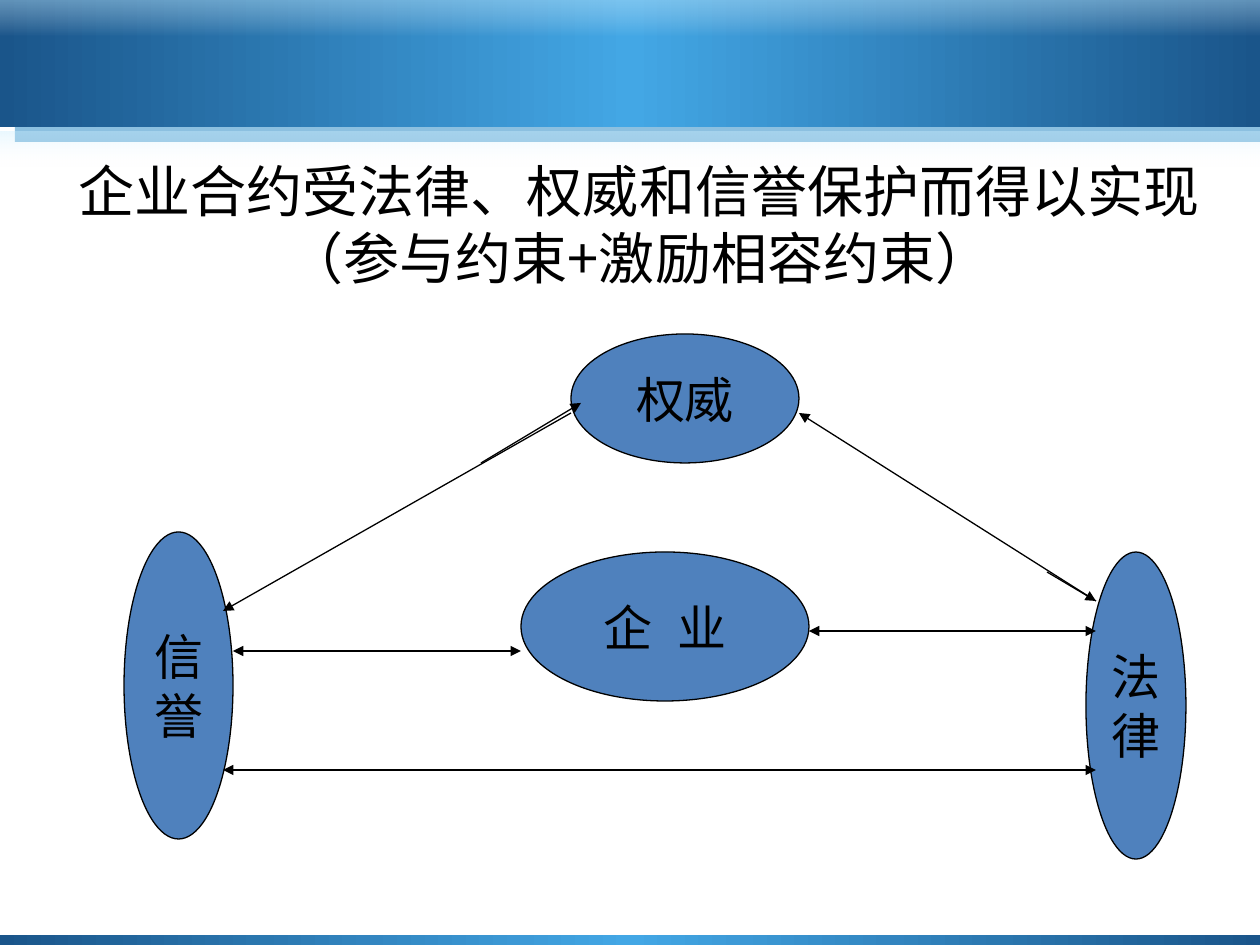
from dataclasses import dataclass

from lxml import etree
from pptx import Presentation
from pptx.dml.color import RGBColor
from pptx.enum.shapes import MSO_CONNECTOR, MSO_SHAPE
from pptx.enum.text import MSO_ANCHOR, MSO_AUTO_SIZE, PP_ALIGN
from pptx.oxml import parse_xml
from pptx.oxml.ns import nsdecls, qn
from pptx.util import Emu, Pt

OVAL = MSO_SHAPE.OVAL
BAND = MSO_SHAPE.ROUNDED_RECTANGLE
STRAIGHT = MSO_CONNECTOR.STRAIGHT
MIDDLE = MSO_ANCHOR.MIDDLE
CENTER = PP_ALIGN.CENTER
NO_AUTOFIT = MSO_AUTO_SIZE.NONE

EMU_PER_PX = 914400 / 126
TITLE_ONLY = 5
COLORS = {
    "black": "000000",
    "node": "4F81BD",
    "dark": "1A558A",
    "bright": "43A7E5",
    "shadow": "1B83C3",
    "pale": "CBEEFF",
    "white": "FFFFFF",
}


@dataclass(frozen=True)
class Band:
    top: int
    height: int
    stops: tuple  # (position %, colour name, opacity %)
    angle: int
    shadow: bool


@dataclass(frozen=True)
class Node:
    left: int
    top: int
    width: int
    height: int
    lines: tuple
    spacing: int = 0  # hundredths of a point between letters


@dataclass(frozen=True)
class Arrow:
    x1: int
    y1: int
    x2: int
    y2: int


BLUE_STOPS = ((0, "dark", 100), (50, "bright", 100), (100, "dark", 100))
GLOSS_STOPS = ((0, "pale", 41), (100, "white", 0))
BANDS = (
    Band(0, 127, BLUE_STOPS, 0, True),
    Band(1, 35, GLOSS_STOPS, 90, False),
    Band(132, 35, GLOSS_STOPS, 90, False),
    Band(935, 10, BLUE_STOPS, 0, True),
)
TITLE = "企业合约受法律、权威和信誉保护而得以实现（参与约束+激励相容约束）"
NODES = (
    Node(521, 552, 288, 149, ("企 业",), 400),
    Node(1086, 552, 100, 307, ("法", "律")),
    Node(124, 532, 109, 307, ("信", "誉")),
    Node(571, 334, 228, 129, ("权威",)),
)
ARROWS = (
    # Law and reputation, law and authority, the firm and its neighbours
    Arrow(263, 770, 1096, 770),
    Arrow(1096, 601, 799, 413),
    Arrow(243, 651, 521, 651),
    Arrow(828, 631, 1096, 631),
    # Short arrows that point back
    Arrow(272, 770, 223, 770),
    Arrow(313, 651, 233, 651),
    Arrow(868, 631, 809, 631),
    Arrow(571, 413, 223, 611),
    Arrow(1047, 572, 1096, 601),
    Arrow(481, 463, 581, 403),
)


def px(value: int) -> Emu:
    return Emu(round(value * EMU_PER_PX))


def rgb(name: str) -> RGBColor:
    return RGBColor.from_string(COLORS[name])


def add_run(paragraph, text: str, size: int, font_name: str):
    paragraph.alignment = CENTER
    run = paragraph.add_run()
    run.text = text
    run.font.size = Pt(size)
    run.font.name = font_name
    run.font.color.rgb = rgb("black")
    return run


def draw_band(slide, band: Band) -> None:
    shape = slide.shapes.add_shape(BAND, 0, px(band.top), px(1260), px(band.height))
    shape.adjustments[0] = 0
    shape.line.fill.background()
    shape.shadow.inherit = False
    properties = shape.element.spPr
    stops = "".join(
        f'<a:gs pos="{position * 1000}"><a:srgbClr val="{COLORS[color]}">'
        f'<a:alpha val="{opacity * 1000}"/></a:srgbClr></a:gs>'
        for position, color, opacity in band.stops
    )
    properties.find(qn("a:prstGeom")).addnext(parse_xml(
        f'<a:gradFill {nsdecls("a")} rotWithShape="1"><a:gsLst>{stops}</a:gsLst>'
        f'<a:lin ang="{band.angle * 60000}" scaled="0"/></a:gradFill>'
    ))
    if band.shadow:
        properties.find(qn("a:effectLst")).append(parse_xml(
            f'<a:outerShdw {nsdecls("a")} dist="{Pt(12.1)}" dir="2700000" algn="ctr" '
            f'rotWithShape="0"><a:srgbClr val="{COLORS["shadow"]}">'
            f'<a:alpha val="50000"/></a:srgbClr></a:outerShdw>'
        ))


def draw_title(slide) -> None:
    title = slide.shapes.title
    title.left, title.top = px(54), px(145)
    title.width, title.height = px(1171), px(158)
    frame = title.text_frame
    frame.auto_size = NO_AUTOFIT
    frame.vertical_anchor = MIDDLE
    run = add_run(frame.paragraphs[0], TITLE, 32, "Noto Sans CJK KR")
    latin = run.font._element.find(qn("a:latin"))
    east_asian = etree.Element(qn("a:ea"), typeface="Noto Sans CJK KR")
    latin.addnext(east_asian)
    # Bring the title in front of the bands
    slide.shapes.element.append(title.element)


def draw_node(slide, node: Node) -> None:
    shape = slide.shapes.add_shape(
        OVAL, px(node.left), px(node.top), px(node.width), px(node.height))
    shape.shadow.inherit = False
    shape.fill.solid()
    shape.fill.fore_color.rgb = rgb("node")
    shape.line.color.rgb = rgb("black")
    shape.line.width = Pt(0.75)
    frame = shape.text_frame
    frame.word_wrap = False
    frame.vertical_anchor = MIDDLE
    for index, text in enumerate(node.lines):
        paragraph = frame.add_paragraph() if index else frame.paragraphs[0]
        run = add_run(paragraph, text, 28, "Arial")
        if node.spacing:
            run.font._element.set("spc", str(node.spacing))


def draw_arrow(slide, arrow: Arrow) -> None:
    connector = slide.shapes.add_connector(
        STRAIGHT, px(arrow.x1), px(arrow.y1), px(arrow.x2), px(arrow.y2))
    connector.line.color.rgb = rgb("black")
    connector.line.width = Pt(0.75)
    properties = connector.element.spPr
    etree.SubElement(properties.find(qn("a:ln")), qn("a:tailEnd"), type="triangle")
    etree.SubElement(properties, qn("a:effectLst"))


def main() -> None:
    presentation = Presentation()
    presentation.slide_width, presentation.slide_height = px(1260), px(945)
    slide = presentation.slides.add_slide(presentation.slide_layouts[TITLE_ONLY])
    for band in BANDS:
        draw_band(slide, band)
    draw_title(slide)
    for node in NODES:
        draw_node(slide, node)
    for arrow in ARROWS:
        draw_arrow(slide, arrow)
    presentation.save("out.pptx")


if __name__ == "__main__":
    main()
